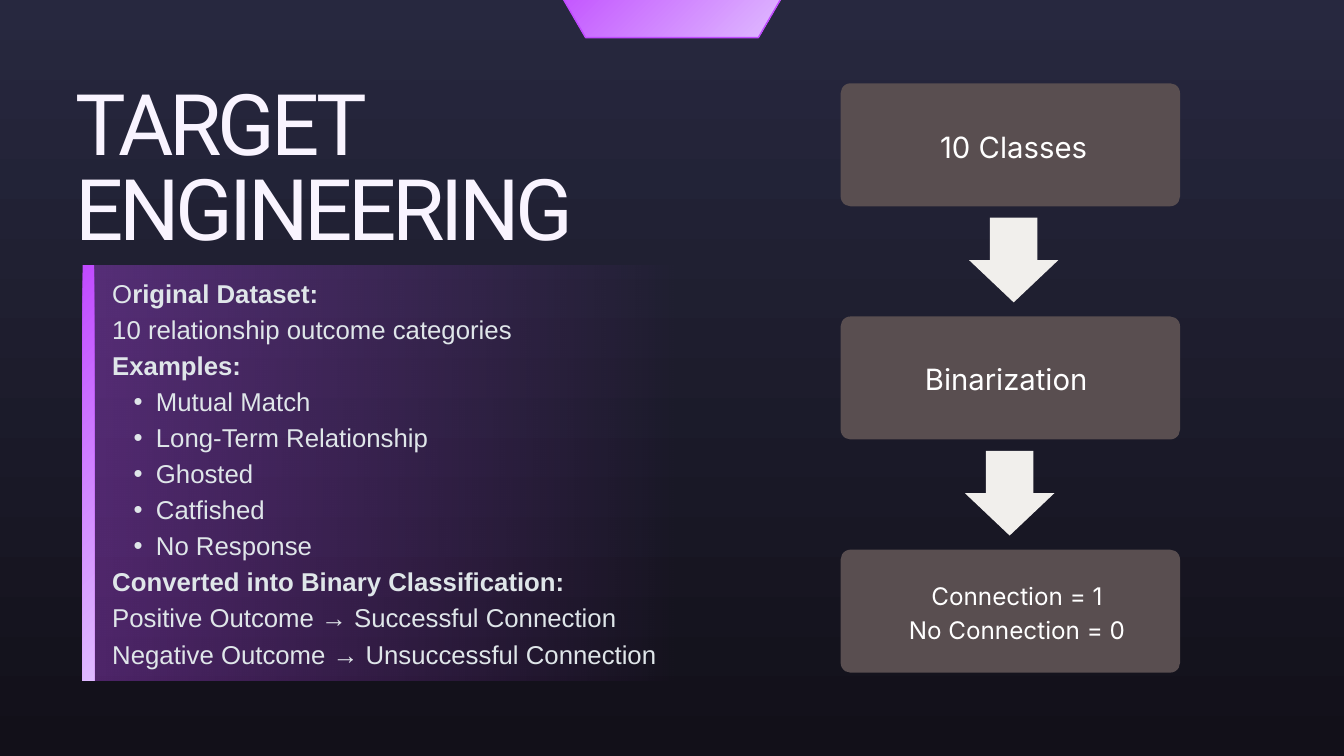
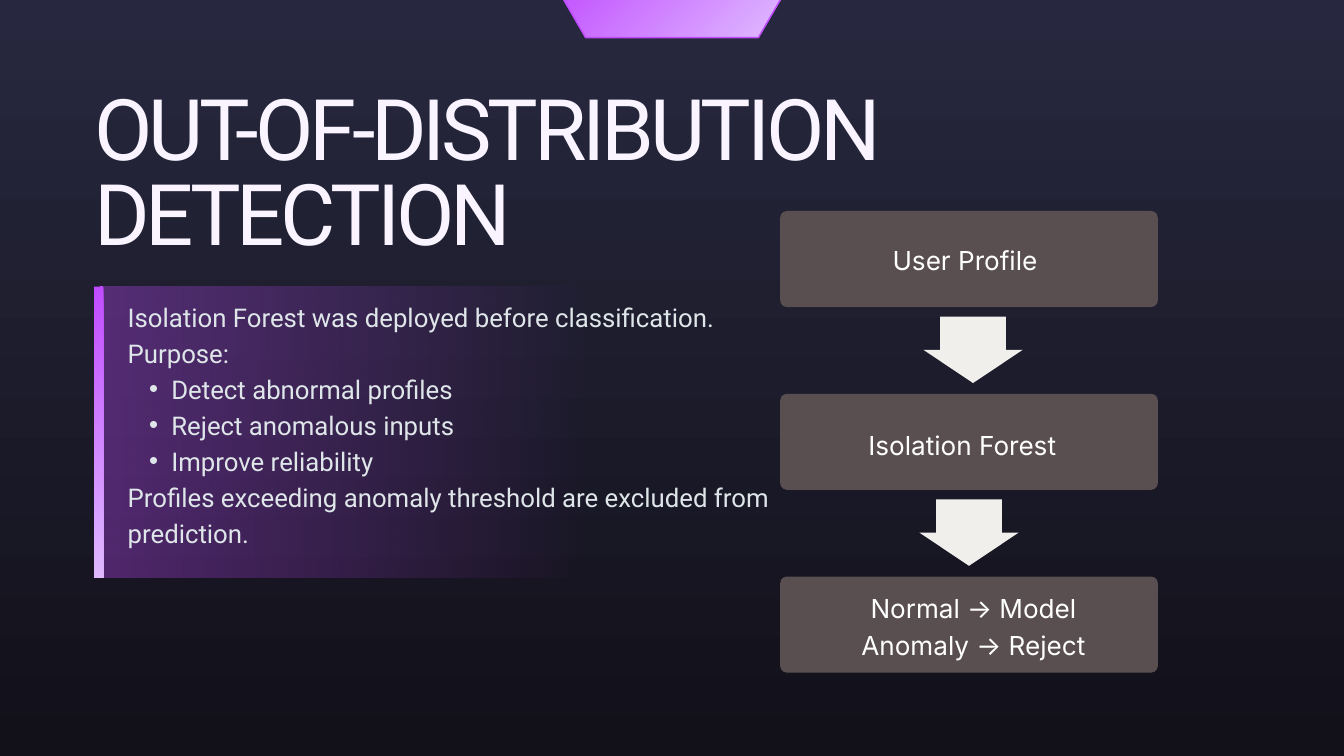
"""Build two slides that pair a text panel with a three-step flow."""
import copy
import pptx
import pptx.dml.color
import pptx.enum.shapes
import pptx.enum.text
import pptx.oxml.ns
import pptx.util
from dataclasses import dataclass
from lxml import etree

Inches = pptx.util.Inches
Pt = pptx.util.Pt
Kind = pptx.enum.shapes.MSO_SHAPE
Align = pptx.enum.text.PP_ALIGN
qn = pptx.oxml.ns.qn


@dataclass(frozen=True)
class Theme:
    night: tuple = ("27283F", "121019")
    glow: tuple = ("C04AFF", "DFBAFF")
    haze: tuple = ("C04AFF", "C04AFF")
    fade: tuple = (35, 0)
    box: str = "594E50"
    arrow: str = "F1EFEC"
    title: tuple = ("Roboto", 91, "F9F4FF", 91)
    body: tuple = (27.6, "DFE6E9", 38.6)
    step: tuple = ("Inter", "FFFFFF", 1.4)


LOOK = Theme()


def plain(text):
    return (0, [(text, False)])


def strong(text):
    return (0, [(text, True)])


def point(text):
    return (1, [(text, False)])


PAGES = [
    dict(
        title=("TARGET ENGINEERING", (1.12, 1.3, 9.62, 2.59)),
        panel=(1.23, 3.95, 8.96, 6.18), bar=0.17,
        font="Arial", area=(1.67, 4.06, 12.92, 5.83),
        body=[
            (0, [("O", False), ("riginal Dataset:", True)]),
            plain("10 relationship outcome categories"),
            strong("Examples:"),
            point("Mutual Match"),
            point("Long-Term Relationship"),
            point("Ghosted"),
            point("Catfished"),
            point("No Response"),
            strong("Converted into Binary Classification:"),
            plain("Positive Outcome → Successful Connection"),
            plain("Negative Outcome → Unsuccessful Connection"),
        ],
        box=(12.51, 1.24, 5.05, 1.83), pitch=3.47, curve=0.08,
        arrow=(14.42, 3.24, 1.33, 1.26), shaft=0.53,
        steps=[
            (["10 Classes"], 31.4, (12.65, 1.83, 4.87, 0.58)),
            (["Binarization"], 31.4, (12.54, 5.29, 4.87, 0.58)),
            (["Connection = 1", "No Connection = 0"], 26, (12.74, 8.58, 4.79, 0.98)),
        ],
    ),
    dict(
        title=("OUT-OF-DISTRIBUTION DETECTION", (1.4, 1.38, 15.95, 2.59)),
        panel=(1.4, 4.27, 7.42, 4.32), bar=0.14,
        font="Roboto", area=(1.9, 4.41, 10.69, 4.26),
        body=[
            plain("Isolation Forest was deployed before classification."),
            plain("Purpose:"),
            point("Detect abnormal profiles"),
            point("Reject anomalous inputs"),
            point("Improve reliability"),
            plain("Profiles exceeding anomaly threshold are excluded from prediction."),
        ],
        box=(11.61, 3.14, 5.62, 1.43), pitch=2.72, curve=0.07,
        arrow=(13.74, 4.71, 1.48, 0.99), shaft=0.66,
        steps=[
            (["User Profile"], 28, (11.65, 3.56, 5.42, 0.53)),
            (["Isolation Forest"], 28, (11.61, 6.31, 5.42, 0.53)),
            (["Normal → Model", "Anomaly → Reject"], 28, (11.82, 8.74, 5.33, 1.07)),
        ],
    ),
]


def tint(hue):
    return pptx.dml.color.RGBColor.from_string(hue)


def blend(fill, hues, angle):
    fill.gradient()
    fill.gradient_angle = angle
    for stop, hue in zip(fill.gradient_stops, hues):
        stop.color.rgb = tint(hue)


def shape(slide, kind, place, hue=None, adjust=()):
    item = slide.shapes.add_shape(kind, *map(Inches, place))
    item.shadow.inherit = False
    item.line.fill.background()
    if hue:
        item.fill.solid()
        item.fill.fore_color.rgb = tint(hue)
    for i, value in enumerate(adjust):
        item.adjustments[i] = value
    return item


def write(slide, place, paras, font, size, hue, lead, align=Align.LEFT, gap=0):
    frame = slide.shapes.add_textbox(*map(Inches, place)).text_frame
    frame.word_wrap = True
    frame.auto_size = pptx.enum.text.MSO_AUTO_SIZE.SHAPE_TO_FIT_TEXT
    frame.margin_left = frame.margin_right = frame.margin_top = frame.margin_bottom = 0
    for i, (level, runs) in enumerate(paras):
        para = frame.add_paragraph() if i else frame.paragraphs[0]
        if level:
            props = para._p.get_or_add_pPr()
            props.set("marL", str(Inches(0.65)))
            props.set("indent", str(Inches(-0.33)))
            etree.SubElement(props, qn("a:buFont")).set("typeface", "Arial")
            etree.SubElement(props, qn("a:buChar")).set("char", "•")
        para.level = level
        para.alignment = align
        para.line_spacing = Pt(lead)
        for text, bold in runs:
            run = para.add_run()
            run.text = text
            run.font.name = font
            run.font.size = Pt(size)
            run.font.bold = bold
            run.font.color.rgb = tint(hue)
            if gap:
                run._r.get_or_add_rPr().set("spc", str(round(gap * 100)))


def base(slide, title):
    blend(slide.background.fill, LOOK.night, 270)
    tab = shape(slide, Kind.HEXAGON, (8.39, -0.56, 3.22, 1.12), adjust=[0.29])
    blend(tab.fill, LOOK.glow, 315)
    props = tab._element.spPr
    edge = props.find(qn("a:ln"))
    edge.remove(edge[0])
    edge.insert(0, copy.deepcopy(props.find(qn("a:gradFill"))))
    tab.line.width = Pt(1.5)
    text, place = title
    font, size, hue, lead = LOOK.title
    write(slide, place, [plain(text)], font, size, hue, lead, gap=-4.5)


def panel(slide, page):
    left, top, width, height = page["panel"]
    back = shape(slide, Kind.RECTANGLE, page["panel"])
    blend(back.fill, LOOK.haze, 0)
    for mark, share in zip(back._element.spPr.iter(qn("a:srgbClr")), LOOK.fade):
        etree.SubElement(mark, qn("a:alpha")).set("val", str(share * 1000))
    bar = shape(slide, Kind.RECTANGLE, (left, top, page["bar"], height))
    blend(bar.fill, LOOK.glow, 315)
    write(slide, page["area"], page["body"], page["font"], *LOOK.body)


def flow(slide, page):
    font, hue, ratio = LOOK.step
    left, top, width, height = page["box"]
    for i, (lines, size, place) in enumerate(page["steps"]):
        spot = (left, top + i * page["pitch"], width, height)
        shape(slide, Kind.ROUNDED_RECTANGLE, spot, LOOK.box, [page["curve"]])
        paras = [plain(line) for line in lines]
        write(slide, place, paras, font, size, hue, round(size * ratio, 1), Align.CENTER)
    left, top, width, height = page["arrow"]
    for i in range(len(page["steps"]) - 1):
        spot = (left - i * 0.06, top + i * page["pitch"], width, height)
        shape(slide, Kind.DOWN_ARROW, spot, LOOK.arrow, [page["shaft"], 0.5])


def main():
    deck = pptx.Presentation()
    deck.slide_width = Inches(20)
    deck.slide_height = Inches(11.25)
    for page in PAGES:
        slide = deck.slides.add_slide(deck.slide_layouts[6])
        base(slide, page["title"])
        panel(slide, page)
        flow(slide, page)
    deck.save("out.pptx")


if __name__ == "__main__":
    main()
